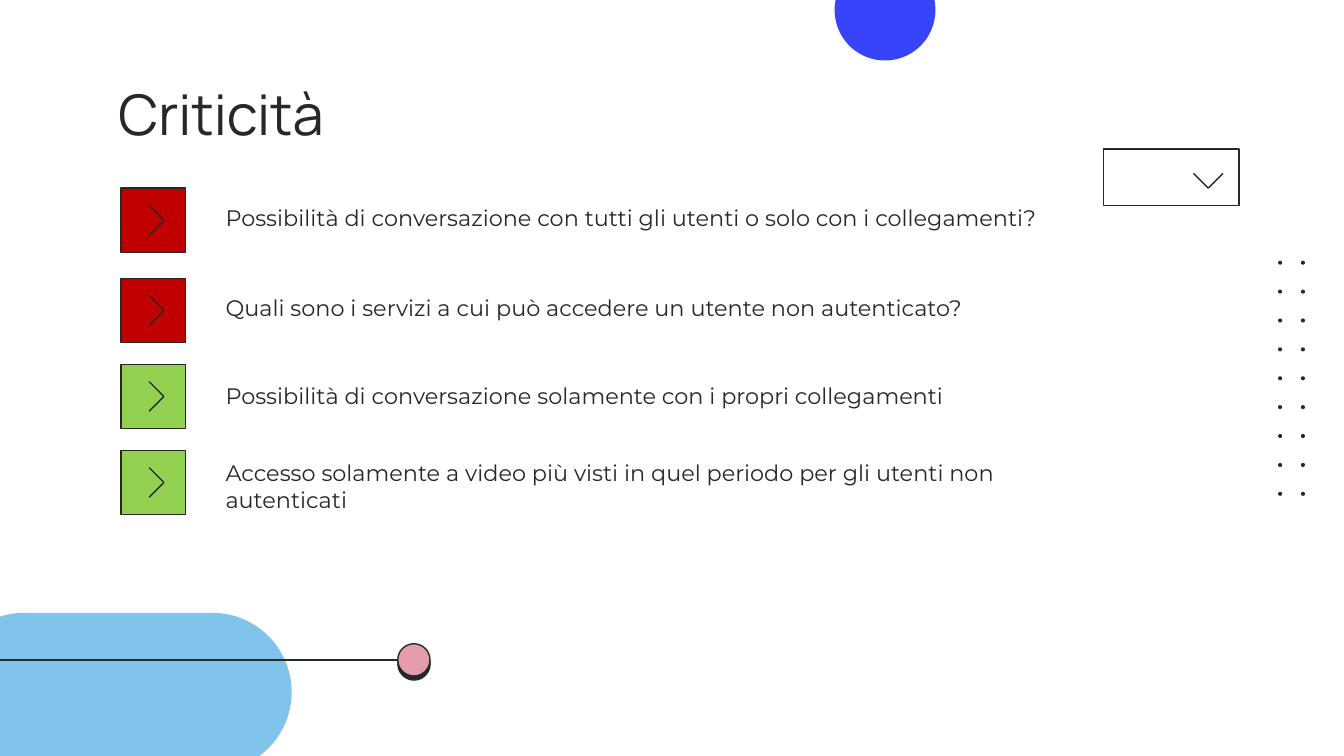
from lxml.etree import SubElement
from pptx import Presentation
from pptx.dml.color import RGBColor
from pptx.enum.shapes import MSO_CONNECTOR, MSO_SHAPE
from pptx.enum.text import MSO_ANCHOR, PP_ALIGN
from pptx.oxml.ns import qn
from pptx.util import Inches, Pt

INK = RGBColor(0x26, 0x29, 0x28)
RED = RGBColor(0xC0, 0x00, 0x00)
GREEN = RGBColor(0x92, 0xD0, 0x50)
SKY = RGBColor(0x80, 0xC3, 0xEB)
BLUE = RGBColor(0x38, 0x44, 0xF9)
PINK = RGBColor(0xE5, 0x9C, 0xAB)

TITLE = "Criticità"
# (marker colour, marker top, text top, text)
ITEMS = [
    (RED, 1.40, 1.42, "Possibilità di conversazione con tutti gli utenti o solo con i collegamenti?"),
    (RED, 2.07, 2.09, "Quali sono i servizi a cui può accedere un utente non autenticato?"),
    (GREEN, 2.71, 2.74, "Possibilità di conversazione solamente con i propri collegamenti"),
    (GREEN, 3.35, 3.32, "Accesso solamente a video più visti in quel periodo per gli utenti non autenticati"),
]
SLIDE_W = 10
SLIDE_H = SLIDE_W * 9 / 16
MARKER_LEFT, MARKER = 0.9, 0.48
TEXT_LEFT, TEXT_W, TEXT_H = 1.58, 6.43, 0.54
ARM = 0.11  # horizontal and vertical reach of one chevron stroke
DOT_LEFT, DOT_TOP, DOT = 9.51, 1.94, 0.03
DOT_COLS, DOT_ROWS, DOT_DX, DOT_DY = 2, 9, 0.17, 0.215

prs = Presentation()
prs.slide_width, prs.slide_height = Inches(SLIDE_W), Inches(SLIDE_H)
s = prs.slides.add_slide(prs.slide_layouts[5])


def add_shape(kind, x, y, w, h, fill=None, outline=False):
    sp = s.shapes.add_shape(kind, Inches(x), Inches(y), Inches(w), Inches(h))
    sp.shadow.inherit = False
    if fill is None:
        sp.fill.background()
    else:
        sp.fill.solid()
        sp.fill.fore_color.rgb = fill
    if outline:
        sp.line.color.rgb = INK
        sp.line.width = Pt(0.75)
    else:
        sp.line.fill.background()
    return sp


def add_line(x1, y1, x2, y2):
    ln = s.shapes.add_connector(MSO_CONNECTOR.STRAIGHT, *map(Inches, (x1, y1, x2, y2)))
    ln.line.color.rgb = INK
    ln.line.width = Pt(0.75)
    SubElement(ln._element.spPr, qn("a:effectLst"))


def add_chevron(tip_x, tip_y, *ends):
    """Draw strokes from the tip to each end, given as multiples of ARM."""
    for dx, dy in ends:
        add_line(tip_x, tip_y, tip_x + dx * ARM, tip_y + dy * ARM)


def write(sp, text, size, font, anchor=MSO_ANCHOR.TOP):
    tf = sp.text_frame
    tf.word_wrap = True
    tf.vertical_anchor = anchor
    tf.margin_left = tf.margin_right = tf.margin_top = tf.margin_bottom = Inches(0.1)
    p = tf.paragraphs[0]
    p.alignment = PP_ALIGN.LEFT
    r = p.add_run()
    r.text = text
    r.font.size, r.font.name = Pt(size), font
    r.font.color.rgb = INK


# Background decoration
pill = add_shape(MSO_SHAPE.ROUNDED_RECTANGLE, -0.41, 4.56, 2.58, 1.18, SKY)
pill.adjustments[0] = 0.5
add_shape(MSO_SHAPE.OVAL, 6.21, -0.3, 0.75, 0.75, BLUE)
for col in range(DOT_COLS):
    for row in range(DOT_ROWS):
        add_shape(MSO_SHAPE.OVAL, DOT_LEFT + col * DOT_DX, DOT_TOP + row * DOT_DY, DOT, DOT, INK)

# Title
title = s.shapes.title
title.left, title.top, title.width, title.height = map(Inches, (0.78, 0.49, 5.64, 0.63))
write(title, TITLE, 30, "Manrope")

# Pin with a hard drop shadow
pin = add_shape(MSO_SHAPE.OVAL, 2.96, 4.79, 0.24, 0.24, PINK, outline=True)
shadow = SubElement(pin._element.spPr.find(qn("a:effectLst")), qn("a:outerShdw"),
                    blurRad="0", dist=str(Pt(2.2)), dir=str(88 * 60000), algn="bl", rotWithShape="0")
SubElement(shadow, qn("a:srgbClr"), val=str(INK))
add_line(2.96, 4.91, 0, 4.91)

# Drop-down box
add_shape(MSO_SHAPE.RECTANGLE, 8.21, 1.11, 1.01, 0.42, outline=True)
add_chevron(8.99, 1.4, (-1, -1), (1, -1))

# Issues and answers
for colour, marker_top, text_top, text in ITEMS:
    add_shape(MSO_SHAPE.RECTANGLE, MARKER_LEFT, marker_top, MARKER, MARKER, colour, outline=True)
    add_chevron(MARKER_LEFT + 0.32, marker_top + MARKER / 2, (-1, -1), (-1, 1))
    box = s.shapes.add_textbox(*map(Inches, (TEXT_LEFT, text_top, TEXT_W, TEXT_H)))
    write(box, text, 12, "Montserrat")

prs.save("out.pptx")
